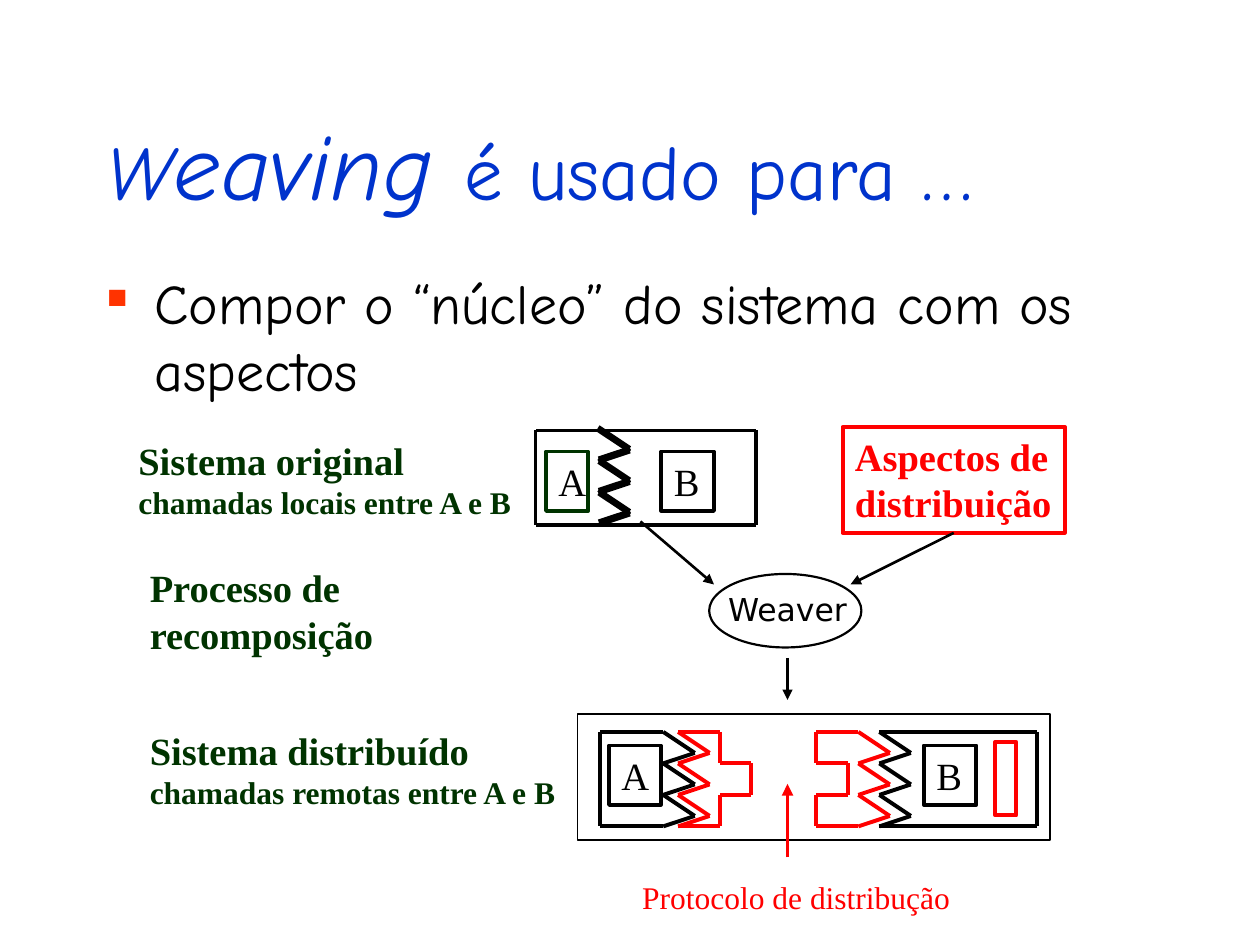
from dataclasses import dataclass
from itertools import pairwise
from typing import Optional

from lxml.etree import SubElement as Sub
from pptx import Presentation
from pptx.dml.color import RGBColor as Rgb
from pptx.enum.shapes import MSO_CONNECTOR as Conn, MSO_SHAPE as Kind
from pptx.enum.text import MSO_ANCHOR as Anchor, MSO_AUTO_SIZE as Auto, PP_ALIGN as Align
from pptx.oxml.ns import qn
from pptx.util import Pt

HUE = {"blue": "0033CC", "black": "000000", "green": "003300",
       "red": "FF0000", "orange": "FF3300", "white": "FFFFFF"}
COMIC, SERIF, SANS = "Comic Neue", "Times New Roman", "DejaVu Sans"
THICK = 2.25
HIGH = 54       # height of every toothed block
STEP = 18       # height and depth of one tooth


@dataclass
class Line:
    text: str
    size: float = 22


@dataclass
class Label:
    x: float
    y: float
    w: float
    h: float
    lines: list[Line]
    hue: str = "green"
    face: str = SERIF
    bold: bool = True
    wrap: bool = False
    align: Align = Align.LEFT


@dataclass
class Box:
    x: float
    y: float
    w: float
    h: float
    hue: str = "black"
    width: float = THICK
    text: str = ""
    kind: Kind = Kind.RECTANGLE


@dataclass
class Chain:
    spots: list[tuple[float, float]]
    hue: str = "black"


def paint(font, hue: str, face: str, size: Optional[float] = None, bold: bool = False) -> None:
    font.name, font.bold = face, bold
    font.color.rgb = Rgb.from_string(HUE[hue])
    if size:
        font.size = Pt(size)


def write(frame, label: Label) -> None:
    frame.word_wrap = label.wrap
    frame.auto_size = Auto.SHAPE_TO_FIT_TEXT
    frame.vertical_anchor = Anchor.TOP
    for i, line in enumerate(label.lines):
        para = frame.add_paragraph() if i else frame.paragraphs[0]
        para.text, para.alignment = line.text, label.align
        paint(para.font, label.hue, label.face, line.size, label.bold)


def add_text(slide, x: float, y: float, w: float, h: float):
    return slide.shapes.add_textbox(Pt(x), Pt(y), Pt(w), Pt(h)).text_frame


def add_label(slide, label: Label) -> None:
    write(add_text(slide, label.x, label.y, label.w, label.h), label)


def add_box(slide, box: Box):
    shape = slide.shapes.add_shape(box.kind, Pt(box.x), Pt(box.y), Pt(box.w), Pt(box.h))
    shape.shadow.inherit = False
    shape.fill.background()
    shape.line.color.rgb = Rgb.from_string(HUE[box.hue])
    shape.line.width = Pt(box.width)
    if box.text:
        write(shape.text_frame, Label(box.x, box.y, box.w, box.h, [Line(box.text)],
                                      "black", bold=False, wrap=True))
    return shape


def add_line(slide, start: tuple, end: tuple, hue: str = "black",
             width: float = THICK, head: bool = False):
    line = slide.shapes.add_connector(Conn.STRAIGHT, *map(Pt, start + end))
    line.line.color.rgb = Rgb.from_string(HUE[hue])
    line.line.width = Pt(width)
    if head:
        Sub(line.line._get_or_add_ln(), qn("a:tailEnd"), type="triangle")
    Sub(line._element.spPr, qn("a:effectLst"))
    return line


def add_chain(slide, chain: Chain) -> None:
    for start, end in pairwise(chain.spots):
        add_line(slide, start, end, chain.hue)


def teeth(x: float, y: float) -> list[tuple[float, float]]:
    spots = [(x, y)]
    for top in range(0, HIGH, STEP):
        spots += [(x + STEP, y + top + 12), (x, y + top + STEP)]
    return spots


def bracket(inner: float, outer: float, y: float) -> list[tuple[float, float]]:
    return [(inner, y), (outer, y), (outer, y + HIGH), (inner, y + HIGH)]


def plug(inner: float, neck: float, y: float) -> list[tuple[float, float]]:
    tip, low, base = neck + STEP, y + 2 * STEP, y + HIGH
    return [(inner, y), (neck, y), (neck, y + STEP), (tip, y + STEP),
            (tip, low), (neck, low), (neck, base), (inner, base)]


TOP, LOW = 246, 418.25
CHAINS = [
    # Original system
    Chain(teeth(342, TOP - 2)), Chain(bracket(342, 306, TOP)),
    Chain(teeth(342, TOP)), Chain(bracket(342, 432, TOP)),
    # Distributed system: A, B and the two protocol ends
    Chain(teeth(379, LOW)), Chain(bracket(379, 342.75, LOW)),
    Chain(teeth(502.5, LOW)), Chain(bracket(502.5, 592.5, LOW)),
    Chain(teeth(387.5, LOW), "red"), Chain(plug(387.5, 411.25, LOW), "red"),
    Chain(teeth(490.5, LOW), "red"), Chain(plug(490.5, 466.5, LOW), "red"),
]
BOXES = [
    Box(330, 408, 270, 72, width=0.75),
    Box(312, 258, 24, 34, "green", text="A"),
    Box(378, 258, 30, 34, text="B"),
    Box(348, 426, 29.5, 34, text="A"),
    Box(528, 426, 30, 34, text="B"),
    Box(568.75, 424, 12, 42, "red"),
    Box(405.25, 328, 87, 42, width=1.25, kind=Kind.OVAL),
]
LABELS = [
    Label(72, 246, 229.5, 55.5, [Line("Sistema original"),
                                 Line("chamadas locais entre A e B", 18)]),
    Label(78.5, 319, 142.5, 60.5, [Line("Processo de"), Line("recomposição")]),
    Label(78.5, 412, 248.5, 55.5, [Line("Sistema distribuído"),
                                   Line("chamadas remotas entre A e B", 18)]),
    Label(350, 498, 210, 29, [Line("Protocolo de distribução", 18)],
          "red", bold=False, wrap=True, align=Align.CENTER),
    Label(408, 333.5, 84, 29, [Line("Weaver", 18)], "black", SANS,
          bold=False, wrap=True, align=Align.CENTER),
]


def add_title(slide) -> None:
    frame = add_text(slide, 54, 48, 612, 90)
    frame.word_wrap, frame.vertical_anchor = True, Anchor.MIDDLE
    para = frame.paragraphs[0]
    paint(para.font, "blue", COMIC)
    for text, size, slant in [("W", 44, True), ("eaving ", 54, True),
                              ("é usado para …", 44, False)]:
        run = para.add_run()
        run.text, run.font.size, run.font.italic = text, Pt(size), slant


def add_body(slide) -> None:
    frame = add_text(slide, 54, 150, 612, 366)
    frame.word_wrap = True
    para = frame.paragraphs[0]
    para.text = "Compor o “núcleo” do sistema com os aspectos"
    props = para._p.get_or_add_pPr()
    props.set("marL", str(Pt(27)))
    props.set("indent", str(-Pt(27)))
    Sub(Sub(props, qn("a:buClr")), qn("a:srgbClr"), val=HUE["orange"])
    Sub(props, qn("a:buSzPct"), val="50000")
    Sub(props, qn("a:buChar"), char="■")
    paint(para.font, "black", COMIC, 32)


def main() -> None:
    deck = Presentation()
    deck.slide_width, deck.slide_height = Pt(720), Pt(540)
    slide = deck.slides.add_slide(deck.slide_layouts[6])
    add_title(slide)
    add_body(slide)
    for box in BOXES:
        add_box(slide, box)
    for chain in CHAINS:
        add_chain(slide, chain)
    for label in LABELS:
        add_label(slide, label)

    # Flow into and out of the weaver
    add_line(slide, (366, 298), (408, 334), width=1.5, head=True)
    add_line(slide, (450, 376), (450, 400), width=1.5, head=True)
    add_line(slide, (450, 490), (450, 448), "red", head=True)

    # Distribution aspects
    area = Box(481.5, 244, 127, 60.5, "red")
    aspect = add_box(slide, area)
    aspect.fill.solid()
    aspect.fill.fore_color.rgb = Rgb.from_string(HUE["white"])
    write(aspect.text_frame, Label(area.x, area.y, area.w, area.h,
                                   [Line("Aspectos de"), Line("distribuição")], "red"))
    link = add_line(slide, (545, 304.5), (486, 334), width=1.5, head=True)
    link.begin_connect(aspect, 2)

    deck.save("out.pptx")


if __name__ == "__main__":
    main()
